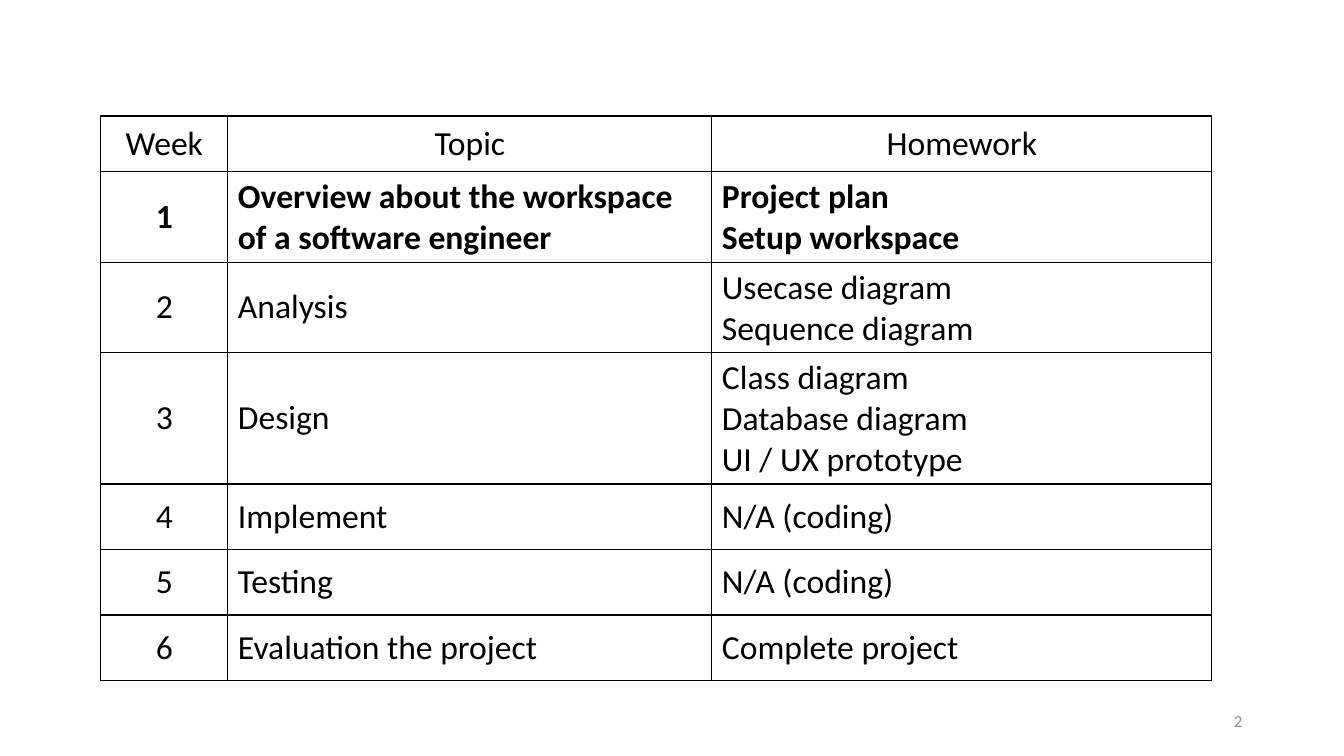
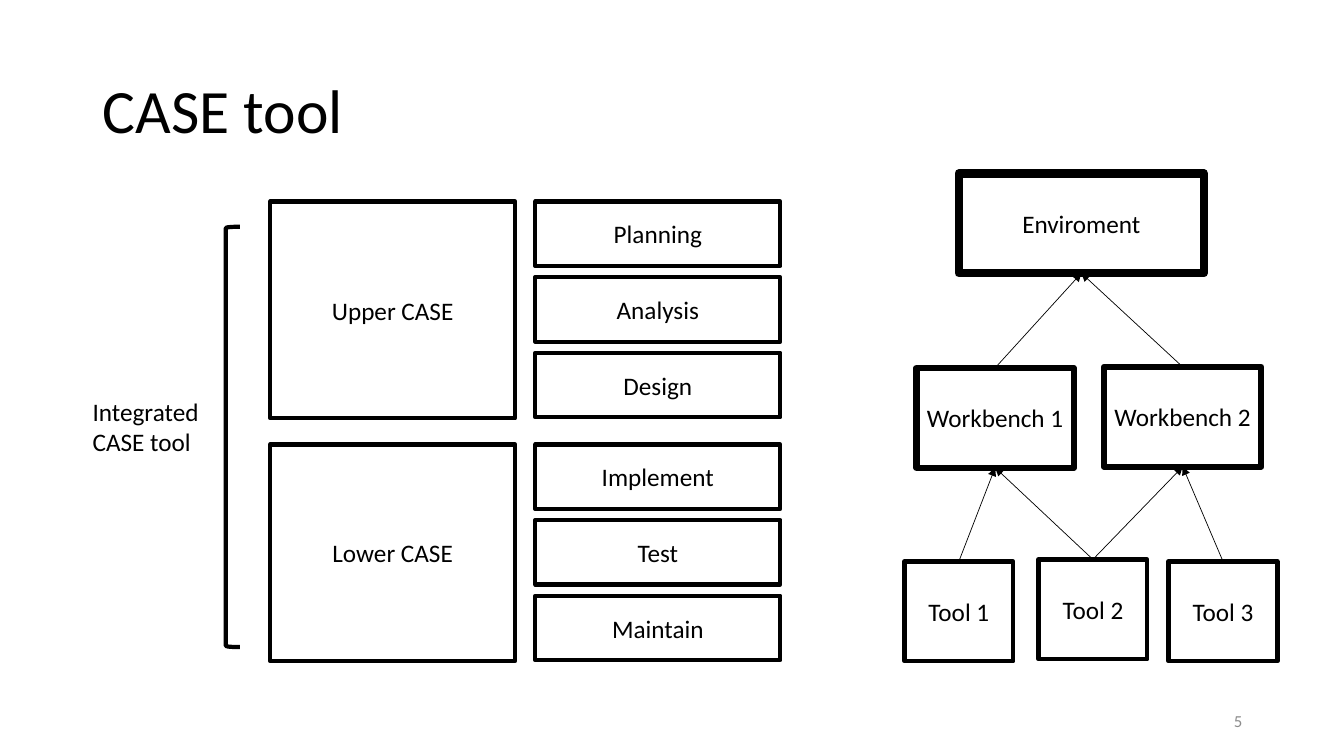
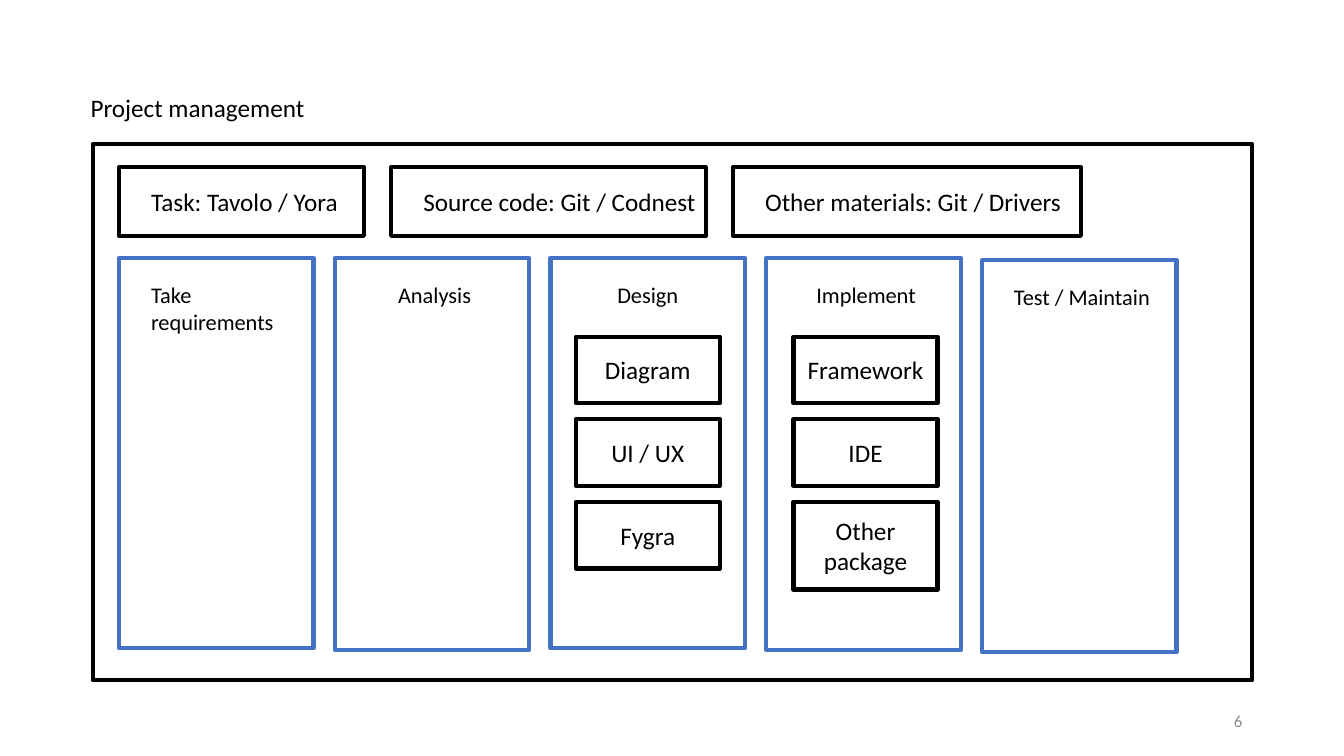
from dataclasses import dataclass
from typing import Optional

from lxml.etree import SubElement
from pptx import Presentation
from pptx.dml.color import RGBColor
from pptx.enum.shapes import MSO_CONNECTOR, MSO_SHAPE
from pptx.enum.text import MSO_ANCHOR, MSO_AUTO_SIZE, PP_ALIGN
from pptx.oxml.ns import qn
from pptx.shapes.autoshape import Shape
from pptx.slide import Slide
from pptx.table import _Cell
from pptx.text.text import TextFrame
from pptx.util import Inches, Pt

FONT = "Calibri"
BLACK, BLUE, GRAY = "000000", "4472C4", "8C8C8C"
TITLE_ONLY, BLANK = 5, 6
TOP_SITE, BOTTOM_SITE = 0, 2


@dataclass(frozen=True)
class Box:
    left: float
    top: float
    width: float
    height: float
    text: str = ""
    line: float = 3
    color: str = BLACK
    kind: MSO_SHAPE = MSO_SHAPE.RECTANGLE


@dataclass(frozen=True)
class Label:
    left: float
    top: float
    width: float
    height: float
    text: str
    size: float = 18
    align: PP_ALIGN = PP_ALIGN.LEFT
    color: str = BLACK
    anchor: MSO_ANCHOR = MSO_ANCHOR.TOP


@dataclass(frozen=True)
class Week:
    number: str
    topic: str
    homework: str
    height: float = 0.65
    bold: bool = False
    align: PP_ALIGN = PP_ALIGN.LEFT


@dataclass(frozen=True)
class Phase:
    name: str
    top: float
    height: float
    align: PP_ALIGN = PP_ALIGN.CENTER
    label_shift: float = 0.05
    label_width: float = 1.88


def rgb(color: str) -> RGBColor:
    return RGBColor.from_string(color)


def write(frame: TextFrame, text: str, size: float, align: PP_ALIGN,
          color: str = BLACK, bold: bool = False) -> None:
    frame.text = text
    for para in frame.paragraphs:
        para.alignment = align
        para.font.name = FONT
        para.font.size = Pt(size)
        para.font.bold = bold
        para.font.color.rgb = rgb(color)


def draw_box(page: Slide, box: Box) -> Shape:
    shape = page.shapes.add_shape(box.kind, Inches(box.left), Inches(box.top),
                                  Inches(box.width), Inches(box.height))
    shape.shadow.inherit = False
    shape.fill.background()
    shape.line.color.rgb = rgb(box.color)
    shape.line.width = Pt(box.line)
    if box.text:
        shape.text_frame.vertical_anchor = MSO_ANCHOR.MIDDLE
        write(shape.text_frame, box.text, 18, PP_ALIGN.CENTER)
    return shape


def draw_label(page: Slide, label: Label) -> None:
    frame = page.shapes.add_textbox(Inches(label.left), Inches(label.top),
                                    Inches(label.width), Inches(label.height)).text_frame
    frame.word_wrap = True
    frame.vertical_anchor = label.anchor
    write(frame, label.text, label.size, label.align, label.color)


def draw_arrow(page: Slide, child: Shape, parent: Shape) -> None:
    arrow = page.shapes.add_connector(MSO_CONNECTOR.STRAIGHT, 0, 0, 0, 0)
    arrow.begin_connect(child, TOP_SITE)
    arrow.end_connect(parent, BOTTOM_SITE)
    arrow.line.color.rgb = rgb(BLACK)
    arrow.line.width = Pt(0.5)
    SubElement(arrow.line._get_or_add_ln(), qn("a:tailEnd"), type="triangle")
    SubElement(arrow._element.spPr, qn("a:effectLst"))


def outline_cell(cell: _Cell) -> None:
    properties = cell._tc.get_or_add_tcPr()
    for position, side in enumerate(("lnL", "lnR", "lnT", "lnB")):
        border = SubElement(properties, qn(f"a:{side}"), w=str(Pt(1)))
        fill = SubElement(border, qn("a:solidFill"))
        SubElement(fill, qn("a:srgbClr"), val=BLACK)
        properties.insert(position, border)


def add_page(layout: int, number: int, title: Optional[str] = None) -> Slide:
    page = deck.slides.add_slide(deck.slide_layouts[layout])
    if title:
        heading = page.shapes.title
        heading.left, heading.top = Inches(0.92), Inches(0.4)
        heading.width, heading.height = Inches(11.5), Inches(1.45)
        frame = heading.text_frame
        frame.auto_size = MSO_AUTO_SIZE.NONE
        frame.vertical_anchor = MSO_ANCHOR.MIDDLE
        write(frame, title, 44, PP_ALIGN.LEFT)
        frame.paragraphs[0].line_spacing = 0.9
    draw_label(page, Label(9.42, 6.95, 3, 0.4, str(number), 12,
                           PP_ALIGN.RIGHT, GRAY, MSO_ANCHOR.MIDDLE))
    return page


def build_schedule() -> None:
    page = add_page(BLANK, 2)
    weeks = [
        Week("Week", "Topic", "Homework", 0.55, align=PP_ALIGN.CENTER),
        Week("1", "Overview about the workspace of a software engineer",
             "Project plan\nSetup workspace", 0.71, bold=True),
        Week("2", "Analysis", "Usecase diagram\nSequence diagram"),
        Week("3", "Design", "Class diagram\nDatabase diagram\nUI / UX prototype"),
        Week("4", "Implement", "N/A (coding)"),
        Week("5", "Testing", "N/A (coding)"),
        Week("6", "Evaluation the project", "Complete project"),
    ]
    widths = (1.26, 4.8, 4.96)
    table = page.shapes.add_table(
        len(weeks), len(widths), Inches(1), Inches(1.15), Inches(sum(widths)),
        Inches(sum(week.height for week in weeks))).table
    table.first_row = False
    table.horz_banding = False
    for column, width in zip(table.columns, widths):
        column.width = Inches(width)
    for row, week in zip(table.rows, weeks):
        row.height = Inches(week.height)
        texts = (week.number, week.topic, week.homework)
        aligns = (PP_ALIGN.CENTER, week.align, week.align)
        for cell, text, align in zip(row.cells, texts, aligns):
            cell.fill.background()
            cell.vertical_anchor = MSO_ANCHOR.MIDDLE
            write(cell.text_frame, text, 24, align, bold=week.bold)
            outline_cell(cell)


def build_case_tool() -> None:
    page = add_page(TITLE_ONLY, 5, "CASE tool")
    groups = (
        ("Upper CASE", 2, ("Planning", "Analysis", "Design")),
        ("Lower CASE", 4.41, ("Implement", "Test", "Maintain")),
    )
    for name, top, steps in groups:
        draw_box(page, Box(2.68, top, 2.43, 2.15, name))
        for index, step in enumerate(steps):
            draw_box(page, Box(5.31, top + 0.75 * index, 2.43, 0.64, step))
    draw_box(page, Box(2.24, 2.25, 0.14, 4.17, kind=MSO_SHAPE.LEFT_BRACKET))
    draw_label(page, Label(0.82, 3.88, 1.32, 0.71, "Integrated CASE tool"))

    nodes = [
        Box(8.97, 5.57, 1.08, 0.99, "Tool 1"),
        Box(10.3, 5.55, 1.08, 0.99, "Tool 2"),
        Box(11.59, 5.57, 1.08, 0.99, "Tool 3"),
        Box(9.09, 3.65, 1.56, 0.99, "Workbench 1", 4.5),
        Box(10.95, 3.64, 1.56, 0.99, "Workbench 2", 4.5),
        Box(9.51, 1.72, 2.43, 0.99, "Enviroment", 6),
    ]
    shapes = {node.text: draw_box(page, node) for node in nodes}
    parents = {
        "Workbench 1": ("Tool 1", "Tool 2"),
        "Workbench 2": ("Tool 2", "Tool 3"),
        "Enviroment": ("Workbench 1", "Workbench 2"),
    }
    for parent, children in parents.items():
        for child in children:
            draw_arrow(page, shapes[child], shapes[parent])


def build_project_management() -> None:
    page = add_page(BLANK, 6)
    draw_box(page, Box(0.92, 1.43, 11.5, 5.32))
    draw_label(page, Label(0.8, 0.87, 2.96, 0.4, "Project management"))

    resources = (
        (1.18, 2.43, 2.06, "Task: Tavolo / Yora"),
        (3.88, 3.12, 2.91, "Source code: Git / Codnest"),
        (7.27, 3.45, 3.45, "Other materials: Git / Drivers"),
    )
    for left, width, text_width, text in resources:
        draw_box(page, Box(left, 1.66, width, 0.68))
        draw_label(page, Label(left + 0.22, 1.8, text_width, 0.4, text))

    phases = (
        Phase("Take requirements", 2.56, 3.87, PP_ALIGN.LEFT, 0.22, 1.53),
        Phase("Analysis", 2.56, 3.89),
        Phase("Design", 2.56, 3.87, label_shift=0, label_width=1.93),
        Phase("Implement", 2.56, 3.89),
        Phase("Test / Maintain", 2.58, 3.89),
    )
    for index, phase in enumerate(phases):
        left = 1.18 + 2.14 * index
        draw_box(page, Box(left, phase.top, 1.93, phase.height, color=BLUE))
        draw_label(page, Label(left + phase.label_shift, phase.top + 0.18,
                               phase.label_width, 0.37, phase.name, 16, phase.align))

    tool_columns = (
        (5.71, (("Diagram", 0.66), ("UI / UX", 0.66), ("Fygra", 0.66))),
        (7.87, (("Framework", 0.66), ("IDE", 0.66), ("Other package", 0.87))),
    )
    for left, tools in tool_columns:
        for index, (name, height) in enumerate(tools):
            draw_box(page, Box(left, 3.34 + 0.82 * index, 1.43, height, name))


deck = Presentation()
deck.slide_width = Inches(13.33)
deck.slide_height = Inches(7.5)
build_schedule()
build_case_tool()
build_project_management()
deck.save("out.pptx")
